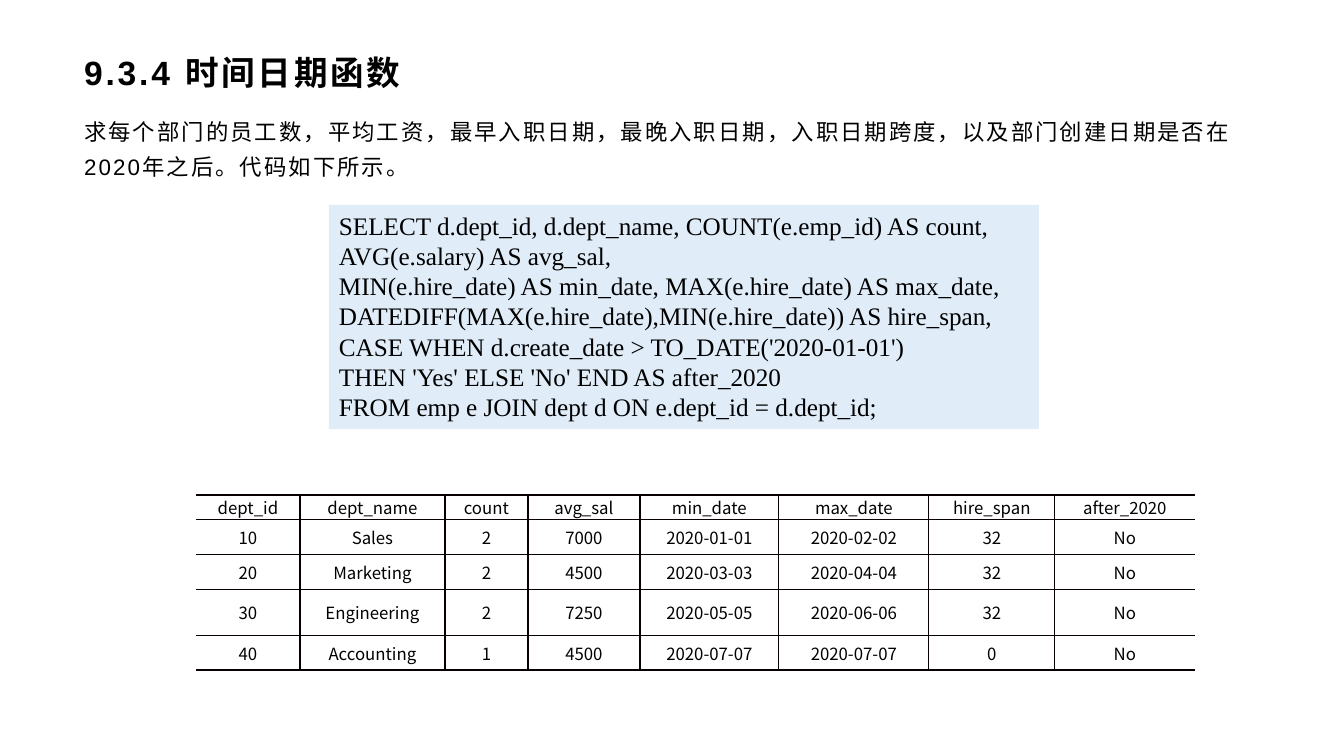
from dataclasses import dataclass

from lxml import etree
from pptx import Presentation
from pptx.dml.color import RGBColor
from pptx.enum.shapes import MSO_SHAPE
from pptx.enum.text import MSO_ANCHOR, MSO_AUTO_SIZE, PP_ALIGN
from pptx.oxml.ns import qn
from pptx.util import Inches, Pt

RECT = MSO_SHAPE.RECTANGLE
TOP, MIDDLE = MSO_ANCHOR.TOP, MSO_ANCHOR.MIDDLE
LEFT, CENTER = PP_ALIGN.LEFT, PP_ALIGN.CENTER
NO_FIT = MSO_AUTO_SIZE.NONE

# Content
TITLE = "9.3.4 时间日期函数"
INTRO = ("求每个部门的员工数，平均工资，最早入职日期，最晚入职日期，入职日期跨度，"
         "以及部门创建日期是否在2020年之后。代码如下所示。")
SQL = [
    "SELECT d.dept_id, d.dept_name, COUNT(e.emp_id) AS count,",
    "AVG(e.salary) AS avg_sal,",
    "MIN(e.hire_date) AS min_date, MAX(e.hire_date) AS max_date,",
    "DATEDIFF(MAX(e.hire_date),MIN(e.hire_date)) AS hire_span,",
    "CASE WHEN d.create_date > TO_DATE('2020-01-01')",
    "THEN 'Yes' ELSE 'No' END AS after_2020",
    "FROM emp e JOIN dept d ON e.dept_id = d.dept_id;",
]
RESULT = [
    ("dept_id", "dept_name", "count", "avg_sal",
     "min_date", "max_date", "hire_span", "after_2020"),
    ("10", "Sales", "2", "7000", "2020-01-01", "2020-02-02", "32", "No"),
    ("20", "Marketing", "2", "4500", "2020-03-03", "2020-04-04", "32", "No"),
    ("30", "Engineering", "2", "7250", "2020-05-05", "2020-06-06", "32", "No"),
    ("40", "Accounting", "1", "4500", "2020-07-07", "2020-07-07", "0", "No"),
]

# Layout in px
SLIDE = (1344, 756)
TITLE_BOX = (74, 48, 1197, 48)
INTRO_BOX = (74, 105, 1197, 594)
SQL_BOX = (329, 205, 710, 224)
TABLE_AT = (196, 495)
COL_WIDTHS = (104, 145, 83, 112, 139, 150, 126, 140)
ROW_HEIGHTS = (24, 35, 35, 46, 35)


@dataclass(frozen=True)
class Theme:
    text: str = "000000"
    code_fill: str = "E0EDF9"
    rule: str = "080000"
    sans: str = "Arial"
    serif: str = "Times New Roman"
    cjk: str = "Noto Sans CJK SC"
    title_size: int = 24
    body_size: int = 16
    code_size: int = 18
    table_size: int = 12
    thin: float = 1
    thick: float = 1.5


THEME = Theme()


def px(n):
    return round(n * Inches(1) / 100.8)


def place(sp, box):
    sp.left, sp.top, sp.width, sp.height = map(px, box)


def style_runs(p, font, size, bold=False, spacing=0):
    for r in p.runs:
        r.font.name = font
        r.font.size = Pt(size)
        r.font.bold = bold
        r.font.color.rgb = RGBColor.from_string(THEME.text)
        rpr = r.font._element
        rpr.set("spc", str(round(spacing * 100)))
        ea = etree.Element(qn("a:ea"), typeface=THEME.cjk)
        rpr.find(qn("a:latin")).addnext(ea)


def add_border(cell, side, width):
    tag = qn("a:ln" + side)
    ln = etree.SubElement(cell._tc.get_or_add_tcPr(), tag, w=str(Pt(width)))
    if width:
        fill = etree.SubElement(ln, qn("a:solidFill"))
        etree.SubElement(fill, qn("a:srgbClr"), val=THEME.rule)
    else:
        etree.SubElement(ln, qn("a:noFill"))


def fill_placeholder(sp, box, text, anchor):
    place(sp, box)
    tf = sp.text_frame
    tf.text = text
    tf.word_wrap = True
    tf.auto_size = NO_FIT
    tf.vertical_anchor = anchor
    p = tf.paragraphs[0]
    p.alignment = LEFT
    return p


def add_sql(slide):
    sp = slide.shapes.add_shape(RECT, *map(px, SQL_BOX))
    sp.shadow.inherit = False
    sp.fill.solid()
    sp.fill.fore_color.rgb = RGBColor.from_string(THEME.code_fill)
    sp.line.fill.background()
    tf = sp.text_frame
    tf.word_wrap = True
    tf.vertical_anchor = TOP
    p = tf.paragraphs[0]
    p.text = "\v".join(SQL)
    p.alignment = LEFT
    p.line_spacing = Pt(21.6)
    style_runs(p, THEME.serif, THEME.code_size)


def add_result(slide):
    last_row, last_col = len(RESULT) - 1, len(COL_WIDTHS) - 1
    size = (sum(COL_WIDTHS), sum(ROW_HEIGHTS))
    frame = slide.shapes.add_table(last_row + 1, last_col + 1,
                                   *map(px, TABLE_AT + size))
    table = frame.table
    table.first_row = table.horz_banding = False
    for col, width in zip(table.columns, COL_WIDTHS):
        col.width = px(width)
    for i, (row, height) in enumerate(zip(RESULT, ROW_HEIGHTS)):
        table.rows[i].height = px(height)
        for j, value in enumerate(row):
            cell = table.cell(i, j)
            cell.margin_left = cell.margin_right = px(7)
            cell.margin_top = cell.margin_bottom = 0
            cell.vertical_anchor = MIDDLE
            # Thick rules above and below, open sides
            add_border(cell, "L", THEME.thin if j else 0)
            add_border(cell, "R", THEME.thin if j < last_col else 0)
            add_border(cell, "T", THEME.thin if i else THEME.thick)
            add_border(cell, "B", THEME.thin if i < last_row else THEME.thick)
            cell.fill.background()
            p = cell.text_frame.paragraphs[0]
            p.text = value
            p.alignment = CENTER
            style_runs(p, THEME.cjk, THEME.table_size)


def main():
    prs = Presentation()
    prs.slide_width, prs.slide_height = map(px, SLIDE)
    slide = prs.slides.add_slide(prs.slide_layouts[1])

    # Title
    p = fill_placeholder(slide.shapes.title, TITLE_BOX, TITLE, MIDDLE)
    style_runs(p, THEME.sans, THEME.title_size, bold=True, spacing=2)

    # Introduction without a bullet
    p = fill_placeholder(slide.placeholders[1], INTRO_BOX, INTRO, TOP)
    ppr = p._p.get_or_add_pPr()
    ppr.set("marL", "0")
    ppr.set("indent", "0")
    etree.SubElement(ppr, qn("a:buNone"))
    p.line_spacing = 1.3
    p.space_before = Pt(0)
    p.space_after = Pt(10)
    style_runs(p, THEME.sans, THEME.body_size, spacing=1.5)

    # Query and its result
    add_sql(slide)
    add_result(slide)
    prs.save("out.pptx")


if __name__ == "__main__":
    main()
